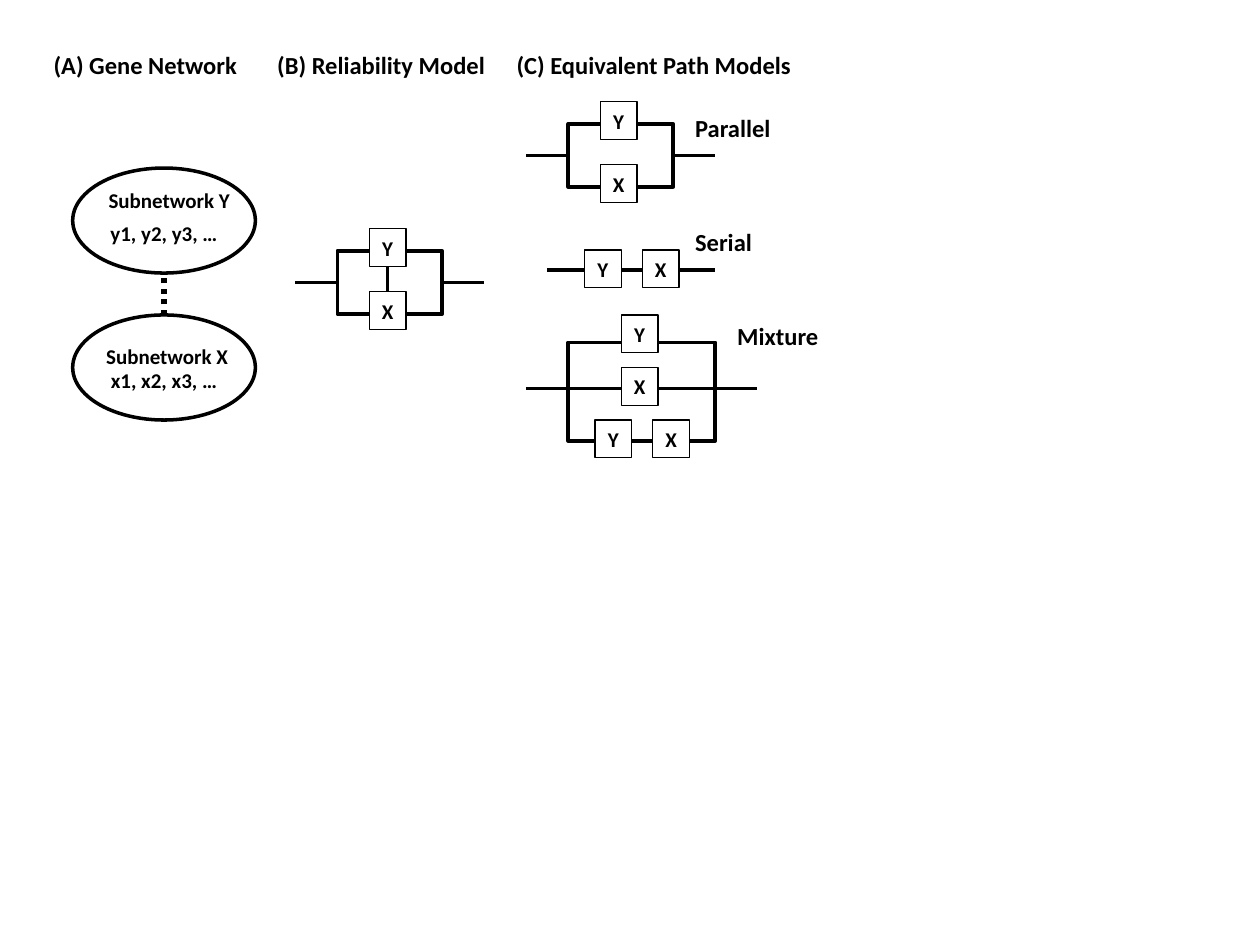
from lxml.etree import SubElement
from pptx import Presentation
from pptx.dml.color import RGBColor
from pptx.enum.dml import MSO_LINE
from pptx.enum.shapes import MSO_CONNECTOR, MSO_SHAPE
from pptx.enum.text import MSO_ANCHOR, PP_ALIGN
from pptx.oxml.ns import qn
from pptx.util import Inches, Pt

BLACK, WHITE = "000000", "FFFFFF"
CELL = 1 / 6            # grid pitch in inches
LEFT_EDGE = 0.01        # where column 0 starts
BOX_WIDTH, BOX_HEIGHT = 1.75, 1.8
LOOP_WIDTH, LOOP_HEIGHT = 5, 3
LEAD = 2                # length of the line into and out of a circuit


def color(hex_string):
    return RGBColor.from_string(hex_string)


def span(cells):
    return Inches(cells * CELL)


def x_at(col):
    return Inches(LEFT_EDGE + col * CELL)


def write(shape, text, size=12, align=PP_ALIGN.CENTER, anchor=MSO_ANCHOR.MIDDLE,
          wrap=False, inset=0, top_inset=0):
    frame = shape.text_frame
    frame.word_wrap = wrap
    frame.vertical_anchor = anchor
    frame.margin_left = frame.margin_right = Inches(inset)
    frame.margin_top, frame.margin_bottom = Inches(top_inset), 0
    paragraph = frame.paragraphs[0]
    paragraph.alignment = align
    run = paragraph.add_run()
    run.text = text
    font = run.font
    font.name, font.size, font.bold = "Calibri", Pt(size), True
    font.color.rgb = color(BLACK)


def add_outline(slide, kind, col, row, width, height, line=2, fill=None):
    shape = slide.shapes.add_shape(kind, x_at(col), span(row), span(width), span(height))
    shape.shadow.inherit = False
    if fill:
        shape.fill.solid()
        shape.fill.fore_color.rgb = color(fill)
    else:
        shape.fill.background()
    shape.line.color.rgb = color(BLACK)
    shape.line.width = Pt(line)
    return shape


def add_line(slide, start, end, width=2, dash=None):
    connector = slide.shapes.add_connector(
        MSO_CONNECTOR.STRAIGHT, x_at(start[0]), span(start[1]), x_at(end[0]), span(end[1]))
    connector.line.color.rgb = color(BLACK)
    connector.line.width = Pt(width)
    if dash:
        connector.line.dash_style = dash
    SubElement(connector._element.spPr, qn("a:effectLst"))
    return connector


def add_label(slide, text, col, row, width, height=2.04, **text_format):
    label = slide.shapes.add_textbox(x_at(col), span(row), span(width), span(height))
    write(label, text, **text_format)


def add_heading(slide, text, col, row, width):
    add_label(slide, text, col, row, width, size=14, align=PP_ALIGN.LEFT,
              anchor=MSO_ANCHOR.TOP, inset=0.1, top_inset=0.05)


def add_gene(slide, letter, col, row):
    """Place a lettered box centred on a grid point."""
    box = add_outline(slide, MSO_SHAPE.RECTANGLE, col - BOX_WIDTH / 2, row - BOX_HEIGHT / 2,
                      BOX_WIDTH, BOX_HEIGHT, line=0.75, fill=WHITE)
    write(box, letter)
    return box


def add_serial_genes(slide, col, row):
    add_gene(slide, "Y", col, row)
    add_gene(slide, "X", col + 2.75, row)


def add_parallel_circuit(slide, col, row):
    loop = add_outline(slide, MSO_SHAPE.RECTANGLE, col, row, LOOP_WIDTH, LOOP_HEIGHT)
    middle, right = row + LOOP_HEIGHT / 2, col + LOOP_WIDTH
    add_line(slide, (col - LEAD, middle), (col, middle)).end_connect(loop, 1)
    add_line(slide, (right, middle), (right + LEAD, middle)).begin_connect(loop, 3)
    return [add_gene(slide, letter, col + 2.4, row + offset - 0.15)
            for letter, offset in (("Y", 0), ("X", LOOP_HEIGHT))]


def add_mixture_circuit(slide, col, row):
    width, upper, lower = 7, 2.2, 2.5
    middle, right = row + upper, col + width
    add_outline(slide, MSO_SHAPE.RECTANGLE, col, row, width, upper)
    add_outline(slide, MSO_SHAPE.RECTANGLE, col, middle, width, lower)
    add_line(slide, (col - LEAD, middle), (col, middle))
    add_line(slide, (right, middle), (right + LEAD, middle))
    add_gene(slide, "Y", col + 3.4, row - 0.4)
    add_gene(slide, "X", col + 3.4, middle - 0.1)
    add_serial_genes(slide, col + 2.15, middle + lower - 0.1)


def add_subnetwork(slide, name, members, row, label_col, label_row):
    ellipse = add_outline(slide, MSO_SHAPE.OVAL, 3.4, row, 8.7, 5, fill=WHITE)
    write(ellipse, members, wrap=True, top_inset=0.2)
    add_label(slide, name, label_col, label_row, 7, height=1.2)
    return ellipse


def add_gene_network(slide):
    add_subnetwork(slide, "Subnetwork Y", "y1, y2, y3, …", 8, 4.5, 8.95)
    lower = add_subnetwork(slide, "Subnetwork X", "x1, x2, x3, …", 15, 4.4, 16.35)
    link = add_line(slide, (7.75, 15), (7.75, 13), width=3, dash=MSO_LINE.ROUND_DOT)
    link.begin_connect(lower, 0)


def add_reliability_model(slide):
    gene_y, gene_x = add_parallel_circuit(slide, 16, 11.95)
    link = add_line(slide, (18.4, 13.9), (18.4, 12.7))
    link.begin_connect(gene_x, 0)
    link.end_connect(gene_y, 2)


def add_path_models(slide):
    add_parallel_circuit(slide, 27, 5.9)
    add_line(slide, (26, 12.85), (34, 12.85))
    add_serial_genes(slide, 28.65, 12.8)
    add_mixture_circuit(slide, 27, 16.3)


def main():
    presentation = Presentation()
    presentation.slide_width, presentation.slide_height = Inches(10), Inches(7.5)
    slide = presentation.slides.add_slide(presentation.slide_layouts[6])
    add_gene_network(slide)
    add_reliability_model(slide)
    add_path_models(slide)
    for text, col, row, width in (
            ("(A) Gene Network", 1.9, 2.1, 10),
            ("(B) Reliability Model", 12.55, 2.1, 11.2),
            ("(C) Equivalent Path Models", 23.95, 2.1, 14.4),
            ("Parallel", 32.45, 5.1, 4.9),
            ("Serial", 32.45, 10.5, 4),
            ("Mixture", 34.45, 15, 5.1)):
        add_heading(slide, text, col, row, width)
    presentation.save("out.pptx")


if __name__ == "__main__":
    main()
